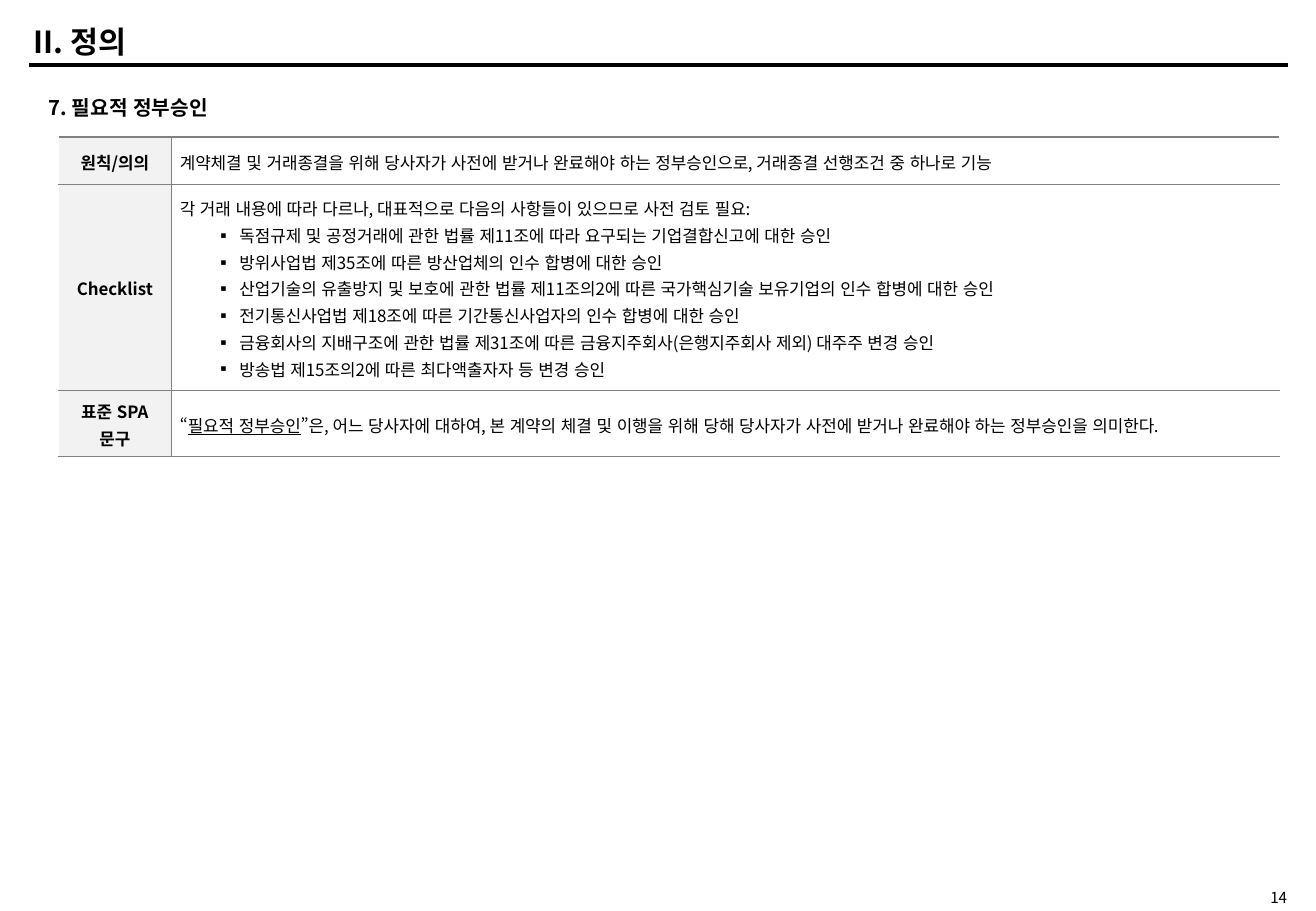
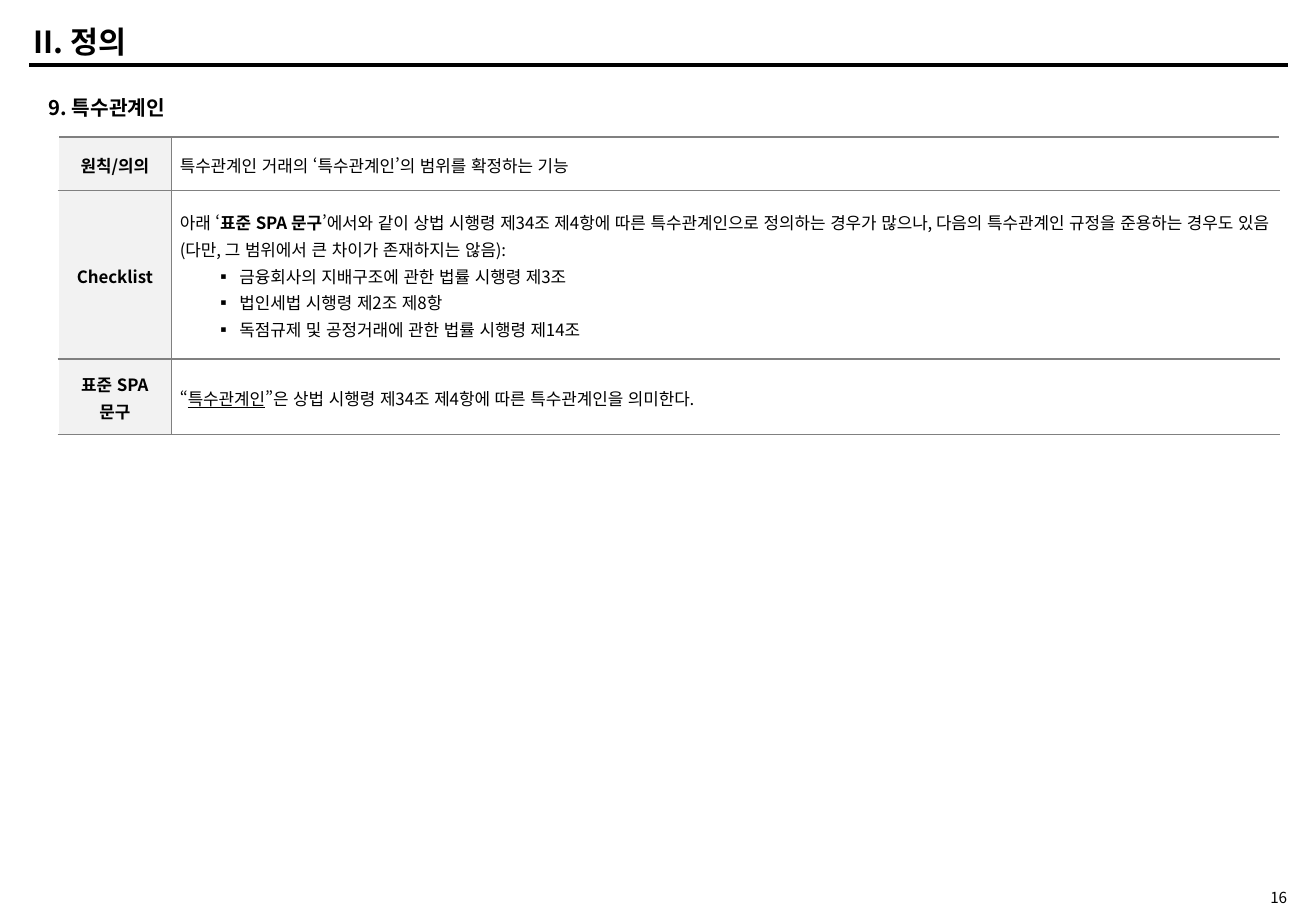
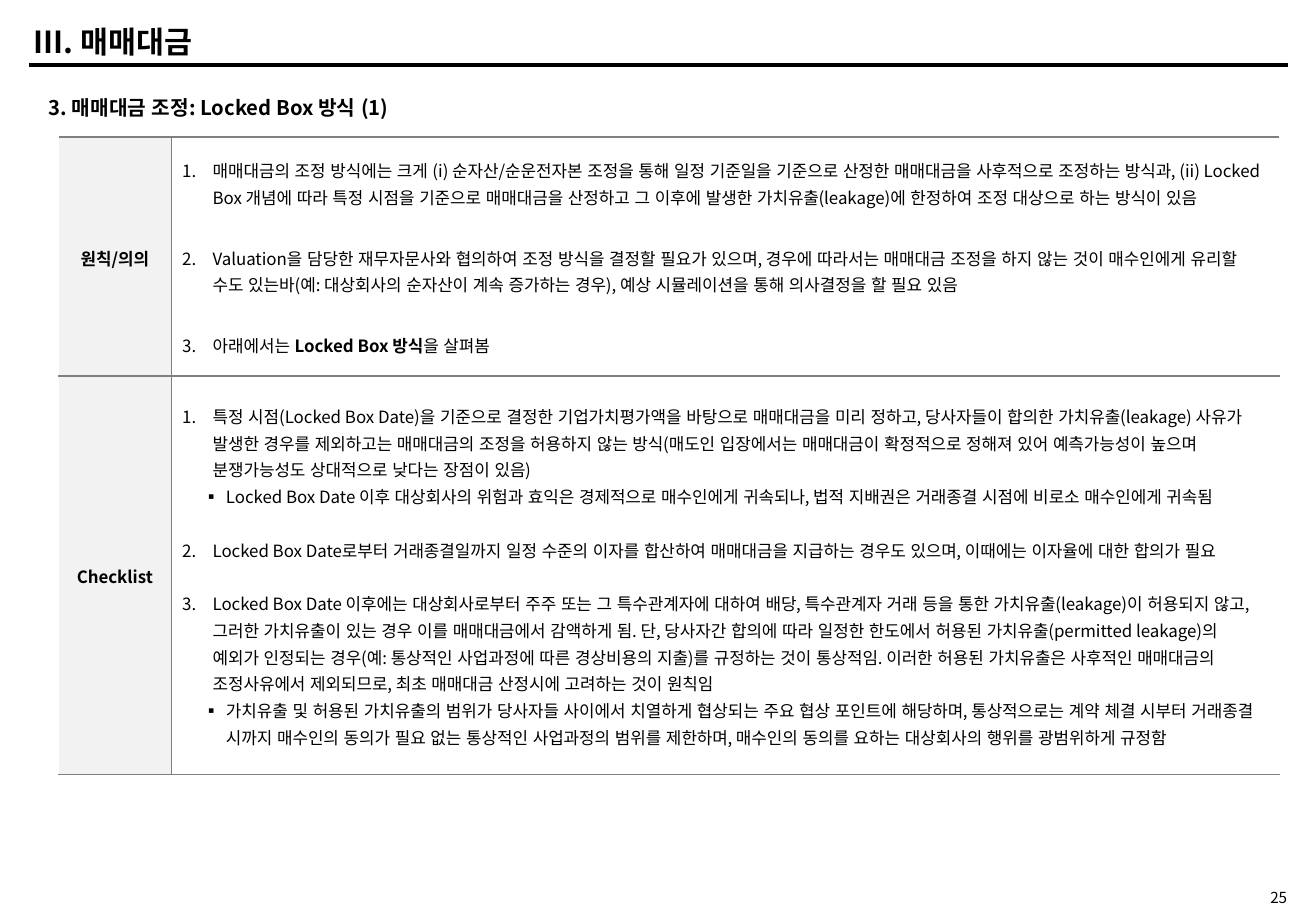
from lxml.etree import SubElement
from pptx import Presentation
from pptx.dml.color import RGBColor as RGB
from pptx.enum.lang import MSO_LANGUAGE_ID as LANG
from pptx.enum.shapes import MSO_CONNECTOR as CONN
from pptx.enum.text import MSO_ANCHOR as ANCHOR, PP_ALIGN as ALIGN
from pptx.oxml.ns import qn
from pptx.util import Inches, Pt

# Shared look
COLORS = {"ink": "000000", "border": "808080", "label": "F2F2F2"}
FONT = "Noto Sans CJK KR"
BASE = {"name": FONT, "language_id": LANG.KOREAN}
STYLES = {
    "title": {"size": Pt(18), "bold": True},
    "heading": {"size": Pt(12), "bold": True},
    "label": {"size": Pt(10), "bold": True},
    "body": {"size": Pt(10), "bold": False},
    "page": {"size": Pt(9), "bold": False},
}
# Paragraph kinds: level, left margin and hanging indent in inches, bullet tag and its value
KINDS = {
    "text": (0, 0, 0, None, None),
    "item": (1, 0.49, -0.2, "buChar", {"char": "▪"}),
    "num": (0, 0.25, -0.25, "buAutoNum", {"type": "arabicPeriod"}),
    "sub": (1, 0.36, -0.19, "buChar", {"char": "▪"}),
}
MEANING, CHECK, CLAUSE = "원칙/의의", "Checklist", "표준 SPA 문구"

# Grid of 100 columns by 100 rows
prs = Presentation()
prs.slide_width, prs.slide_height = Inches(10.83), Inches(7.5)
COL, ROW = prs.slide_width / 100, prs.slide_height / 100
TITLE_BOX = (1.62, 2, 47.18, 5.07)
HEADING_BOX = (2.8, 9.83, 92.52, 4)
PAGE_BOX = (90.03, 97.47, 8.68, 2)
RULE = (2.22, 7.15, 97.88, 7.15)
TABLE_LEFT, TABLE_TOP, TABLE_COLS = 4.43, 15.03, (8.59, 84.21)

# Content: each row is label, height in grid rows, gap between numbers in points, paragraphs.
# A bar switches emphasis on and off: underline in the clause row, bold elsewhere.
SLIDES = [
    {
        "title": "II. 정의", "heading": "7. 필요적 정부승인", "page": "14", "inset": (0.07, 0),
        "rows": [
            (MEANING, 5.2, 0, [
                ("text", "계약체결 및 거래종결을 위해 당사자가 사전에 받거나 완료해야 하는 정부승인으로, 거래종결 선행조건 중 하나로 기능"),
            ]),
            (CHECK, 22.67, 0, [
                ("text", "각 거래 내용에 따라 다르나, 대표적으로 다음의 사항들이 있으므로 사전 검토 필요:"),
                ("item", "독점규제 및 공정거래에 관한 법률 제11조에 따라 요구되는 기업결합신고에 대한 승인"),
                ("item", "방위사업법 제35조에 따른 방산업체의 인수 합병에 대한 승인"),
                ("item", "산업기술의 유출방지 및 보호에 관한 법률 제11조의2에 따른 국가핵심기술 보유기업의 인수 합병에 대한 승인"),
                ("item", "전기통신사업법 제18조에 따른 기간통신사업자의 인수 합병에 대한 승인"),
                ("item", "금융회사의 지배구조에 관한 법률 제31조에 따른 금융지주회사(은행지주회사 제외) 대주주 변경 승인"),
                ("item", "방송법 제15조의2에 따른 최다액출자자 등 변경 승인"),
            ]),
            (CLAUSE, 7.2, 0, [
                ("text", "“|필요적 정부승인|”은, 어느 당사자에 대하여, 본 계약의 체결 및 이행을 위해 당해 당사자가 사전에 받거나 완료해야 하는 정부승인을 의미한다."),
            ]),
        ],
    },
    {
        "title": "II. 정의", "heading": "9. 특수관계인", "page": "16", "inset": (0.07, 0),
        "rows": [
            (MEANING, 5.87, 0, [
                ("text", "특수관계인 거래의 ‘특수관계인’의 범위를 확정하는 기능"),
            ]),
            (CHECK, 18.53, 0, [
                ("text", "아래 ‘|표준 SPA 문구|’에서와 같이 상법 시행령 제34조 제4항에 따른 특수관계인으로 정의하는 경우가 많으나, "
                         "다음의 특수관계인 규정을 준용하는 경우도 있음(다만, 그 범위에서 큰 차이가 존재하지는 않음):"),
                ("item", "금융회사의 지배구조에 관한 법률 시행령 제3조"),
                ("item", "법인세법 시행령 제2조 제8항"),
                ("item", "독점규제 및 공정거래에 관한 법률 시행령 제14조"),
            ]),
            (CLAUSE, 8.27, 0, [
                ("text", "“|특수관계인|”은 상법 시행령 제34조 제4항에 따른 특수관계인을 의미한다."),
            ]),
        ],
    },
    {
        "title": "III. 매매대금", "heading": "3. 매매대금 조정: Locked Box 방식 (1)", "page": "25", "inset": (0.09, 0.05),
        "rows": [
            (MEANING, 26.27, 20, [
                ("num", "매매대금의 조정 방식에는 크게 (i) 순자산/순운전자본 조정을 통해 일정 기준일을 기준으로 산정한 매매대금을 "
                        "사후적으로 조정하는 방식과, (ii) Locked Box 개념에 따라 특정 시점을 기준으로 매매대금을 산정하고 "
                        "그 이후에 발생한 가치유출(leakage)에 한정하여 조정 대상으로 하는 방식이 있음"),
                ("num", "Valuation을 담당한 재무자문사와 협의하여 조정 방식을 결정할 필요가 있으며, 경우에 따라서는 매매대금 조정을 "
                        "하지 않는 것이 매수인에게 유리할 수도 있는바(예: 대상회사의 순자산이 계속 증가하는 경우), "
                        "예상 시뮬레이션을 통해 의사결정을 할 필요 있음"),
                ("num", "아래에서는 |Locked Box 방식|을 살펴봄"),
            ]),
            (CHECK, 43.73, 16, [
                ("num", "특정 시점(Locked Box Date)을 기준으로 결정한 기업가치평가액을 바탕으로 매매대금을 미리 정하고, "
                        "당사자들이 합의한 가치유출(leakage) 사유가 발생한 경우를 제외하고는 매매대금의 조정을 허용하지 않는 방식"
                        "(매도인 입장에서는 매매대금이 확정적으로 정해져 있어 예측가능성이 높으며 분쟁가능성도 상대적으로 낮다는 장점이 있음)"),
                ("sub", "Locked Box Date 이후 대상회사의 위험과 효익은 경제적으로 매수인에게 귀속되나, "
                        "법적 지배권은 거래종결 시점에 비로소 매수인에게 귀속됨"),
                ("num", "Locked Box Date로부터 거래종결일까지 일정 수준의 이자를 합산하여 매매대금을 지급하는 경우도 있으며, "
                        "이때에는 이자율에 대한 합의가 필요"),
                ("num", "Locked Box Date 이후에는 대상회사로부터 주주 또는 그 특수관계자에 대하여 배당, 특수관계자 거래 등을 통한 "
                        "가치유출(leakage)이 허용되지 않고, 그러한 가치유출이 있는 경우 이를 매매대금에서 감액하게 됨. 단, 당사자간 합의에 "
                        "따라 일정한 한도에서 허용된 가치유출(permitted leakage)의 예외가 인정되는 경우(예: 통상적인 사업과정에 따른 "
                        "경상비용의 지출)를 규정하는 것이 통상적임. 이러한 허용된 가치유출은 사후적인 매매대금의 조정사유에서 제외되므로, "
                        "최초 매매대금 산정시에 고려하는 것이 원칙임"),
                ("sub", "가치유출 및 허용된 가치유출의 범위가 당사자들 사이에서 치열하게 협상되는 주요 협상 포인트에 해당하며, "
                        "통상적으로는 계약 체결 시부터 거래종결 시까지 매수인의 동의가 필요 없는 통상적인 사업과정의 범위를 제한하며, "
                        "매수인의 동의를 요하는 대상회사의 행위를 광범위하게 규정함"),
            ]),
        ],
    },
]


def place(box):
    """Turn grid columns and rows into lengths."""
    return [round(n * unit) for n, unit in zip(box, (COL, ROW, COL, ROW))]


def write(p, text, style, align=ALIGN.LEFT, emphasis="bold"):
    """Fill a paragraph with runs, every second one emphasised."""
    p.alignment = align
    for i, part in enumerate(text.split("|")):
        r = p.add_run()
        r.text = part
        for name, value in {**BASE, **STYLES[style]}.items():
            setattr(r.font, name, value)
        r.font.color.rgb = RGB.from_string(COLORS["ink"])
        SubElement(r.font._element, qn("a:ea"), typeface=FONT)
        if i % 2:
            setattr(r.font, emphasis, True)


for content in SLIDES:
    s = prs.slides.add_slide(prs.slide_layouts[5])

    # Rule under the title
    rule = s.shapes.add_connector(CONN.STRAIGHT, *place(RULE))
    rule.line.color.rgb = RGB.from_string(COLORS["ink"])
    rule.line.width = Pt(2)
    SubElement(rule._element.spPr, qn("a:effectLst"))

    # Title, heading and page number
    title = s.shapes.title
    title.left, title.top, title.width, title.height = place(TITLE_BOX)
    heading = s.shapes.add_textbox(*place(HEADING_BOX))
    page = s.shapes.add_textbox(*place(PAGE_BOX))
    for sp, style, anchor, align in (
        (title, "title", ANCHOR.MIDDLE, ALIGN.LEFT),
        (heading, "heading", ANCHOR.TOP, ALIGN.LEFT),
        (page, "page", ANCHOR.MIDDLE, ALIGN.RIGHT),
    ):
        tf = sp.text_frame
        tf.word_wrap, tf.vertical_anchor = True, anchor
        write(tf.paragraphs[0], content[style], style, align)
    page.text_frame.margin_top = page.text_frame.margin_bottom = 0

    # Table of labels and explanations
    rows = content["rows"]
    box = (TABLE_LEFT, TABLE_TOP, sum(TABLE_COLS), sum(row[1] for row in rows))
    table = s.shapes.add_table(len(rows), 2, *place(box)).table
    table.first_row = table.horz_banding = False
    for column, width in zip(table.columns, TABLE_COLS):
        column.width = round(width * COL)

    for row, (label, height, gap, paragraphs) in zip(table.rows, rows):
        row.height = round(height * ROW)
        label_cell, body_cell = row.cells

        # Insets and borders, with the outer sides left open
        for cell, inner in ((label_cell, "lnR"), (body_cell, "lnL")):
            cell.vertical_anchor = ANCHOR.MIDDLE
            cell.margin_left = cell.margin_right = Inches(content["inset"][0])
            cell.margin_top = cell.margin_bottom = Inches(content["inset"][1])
            tcPr = cell._tc.get_or_add_tcPr()
            for side in (inner, "lnT", "lnB"):
                ln = SubElement(tcPr, qn(f"a:{side}"), w=str(Pt(1)))
                fill = SubElement(ln, qn("a:solidFill"))
                SubElement(fill, qn("a:srgbClr"), val=COLORS["border"])
        label_cell.fill.solid()
        label_cell.fill.fore_color.rgb = RGB.from_string(COLORS["label"])
        body_cell.fill.background()

        # Label
        p = label_cell.text_frame.paragraphs[0]
        p.line_spacing = 1.1
        write(p, label, "label", ALIGN.CENTER)

        # Explanation
        tf = body_cell.text_frame
        for i, (kind, text) in enumerate(paragraphs):
            p = tf.add_paragraph() if i else tf.paragraphs[0]
            level, margin, indent, bullet, value = KINDS[kind]
            p.level, p.line_spacing = level, 1.1
            p.space_before = Pt(gap if i and kind == "num" else 0)
            pPr = p._p.get_or_add_pPr()
            pPr.set("marL", str(Inches(margin)))
            pPr.set("indent", str(Inches(indent)))
            if bullet:
                SubElement(pPr, qn("a:buFont"), typeface=FONT)
                SubElement(pPr, qn(f"a:{bullet}"), value)
            write(p, text, "body", emphasis="underline" if label == CLAUSE else "bold")

prs.save("out.pptx")
